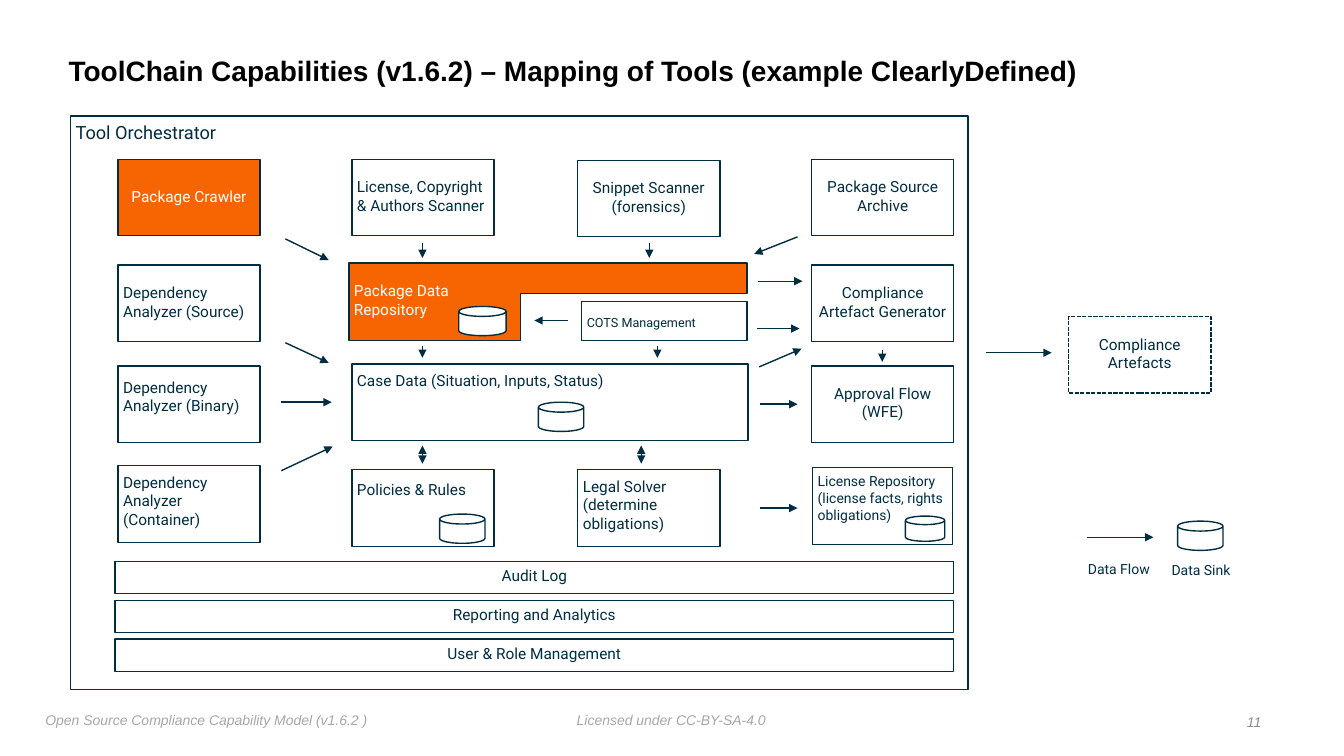
from lxml import etree
from pptx import Presentation, util as u
from pptx.dml.color import RGBColor
from pptx.enum import dml, shapes, text
from pptx.oxml import ns

NAVY = RGBColor(0x00, 0x2D, 0x41)
ORANGE = RGBColor(0xF7, 0x65, 0x03)
WHITE = RGBColor(0xFF, 0xFF, 0xFF)
BLACK = RGBColor(0x00, 0x00, 0x00)
FOOTER_GREY = RGBColor(0xA7, 0xA7, 0xA7)
NUMBER_GREY = RGBColor(0x88, 0x8C, 0x91)
LEFT, CENTER, RIGHT = text.PP_ALIGN.LEFT, text.PP_ALIGN.CENTER, text.PP_ALIGN.RIGHT

COLUMNS = (1.17, 3.49, 5.73, 8.05)
ROWS = (1.58, 2.63, 3.63, 4.64)
BOX_W, BOX_H = 1.41, 0.76
INSET = 0.05

TITLE = "ToolChain Capabilities (v1.6.2) – Mapping of Tools (example ClearlyDefined)"

# Standard boxes: text, column, row, shift from row, text drop, alignment, fill
TOOLS = [
    ("Package Crawler", 0, 0, 0, 0.23, CENTER, ORANGE),
    ("License, Copyright & Authors Scanner", 1, 0, 0, 0.13, LEFT, WHITE),
    ("Snippet Scanner\v(forensics)", 2, 0, 0.01, 0.13, CENTER, WHITE),
    ("Package Source Archive", 3, 0, 0, 0.13, CENTER, WHITE),
    ("Dependency Analyzer (Source)", 0, 1, 0, 0.13, LEFT, WHITE),
    ("Compliance Artefact Generator", 3, 1, 0, 0.13, CENTER, WHITE),
    ("Dependency Analyzer (Binary)", 0, 2, 0, 0.07, LEFT, WHITE),
    ("Approval Flow (WFE)", 3, 2, 0, 0.13, CENTER, WHITE),
    ("Dependency Analyzer (Container)", 0, 3, -0.02, 0.02, LEFT, WHITE),
    ("Policies & Rules", 1, 3, 0.02, 0.05, LEFT, WHITE),
    ("Legal Solver (determine obligations)", 2, 3, 0.02, 0.02, LEFT, WHITE),
]
# Other boxes: text, (left, top, width, height), text drop, size
SPECIAL_BOXES = [
    ("Case Data (Situation, Inputs, Status)", (3.49, 3.61, 3.93, 0.76), 0.02, 11),
    ("COTS Management", (5.77, 2.99, 1.64, 0.39), 0.08, 9),
    ("License Repository (license facts, rights obligations)",
     (8.06, 4.64, 1.39, 0.76), 0, 10),
]
BARS = ["Audit Log", "Reporting and Analytics", "User & Role Management"]
REPOSITORY_OUTLINE = [(3.46, 2.61), (7.41, 2.61), (7.41, 2.91),
                      (5.16, 2.91), (5.16, 3.38), (3.46, 3.38)]
# Data sinks: left, top, width, height
DATA_SINKS = [
    (5.34, 3.99, 0.45, 0.29), (8.98, 5.12, 0.39, 0.25), (4.55, 3.04, 0.47, 0.29),
    (11.68, 5.17, 0.45, 0.29), (4.36, 5.10, 0.45, 0.29),
]
# Data flows: from x, from y, to x, to y
DATA_FLOWS = [
    (2.83, 2.37, 3.26, 2.58), (2.83, 3.40, 3.26, 3.60),
    (2.79, 3.99, 3.29, 3.99), (2.79, 4.67, 3.30, 4.43),
    (4.19, 2.41, 4.19, 2.56), (6.44, 2.41, 6.44, 2.56),
    (4.19, 3.43, 4.19, 3.55), (6.52, 3.43, 6.52, 3.55),
    (8.75, 3.47, 8.75, 3.59), (7.91, 2.35, 7.48, 2.52),
    (7.52, 2.79, 7.96, 2.79), (7.51, 3.26, 7.93, 3.26),
    (7.53, 3.64, 7.95, 3.46), (7.54, 4.01, 7.91, 4.01),
    (7.54, 5.04, 7.91, 5.04), (5.63, 3.18, 5.30, 3.18),
    (9.78, 3.50, 10.43, 3.50), (10.78, 5.33, 11.44, 5.33),
]
TWO_WAY_FLOWS = [(4.19, 4.60, 4.19, 4.42), (6.36, 4.60, 6.36, 4.42)]
# Labels: text, (left, top, width, height), font, colour, italic, alignment
LABELS = [
    ("Data Flow", (10.74, 5.51, 0.80, 0.29), "Roboto", NAVY, False, LEFT),
    ("Data Sink", (11.57, 5.52, 0.80, 0.29), "Roboto", NAVY, False, LEFT),
    ("Open Source Compliance Capability Model (v1.6.2 )",
     (0.40, 7.01, 3.60, 0.27), "Arial", FOOTER_GREY, True, LEFT),
    ("Licensed under CC-BY-SA-4.0",
     (5.67, 7.01, 2.20, 0.25), "Arial", FOOTER_GREY, True, LEFT),
    ("11", (12.27, 7.03, 0.29, 0.25), "Arial", NUMBER_GREY, True, RIGHT),
]


def inches(values):
    return [u.Inches(value) for value in values]


def set_text(shape, words, size, color, font="Roboto", align=LEFT, drop=0,
             right=INSET, anchor=text.MSO_ANCHOR.TOP, **font_format):
    frame = shape.text_frame
    frame_format = {
        "word_wrap": True, "auto_size": text.MSO_AUTO_SIZE.NONE,
        "vertical_anchor": anchor,
        "margin_left": u.Inches(INSET), "margin_right": u.Inches(right),
        "margin_top": u.Inches(INSET + drop), "margin_bottom": u.Inches(0),
    }
    for name, value in frame_format.items():
        setattr(frame, name, value)
    paragraph = frame.paragraphs[0]
    paragraph.text = words
    paragraph.alignment = align
    font_format.update(size=u.Pt(size), name=font)
    for run in paragraph.runs:
        for name, value in font_format.items():
            setattr(run.font, name, value)
        run.font.color.rgb = color


def paint(shape, fill=WHITE):
    shape.shadow.inherit = False
    shape.fill.solid()
    shape.fill.fore_color.rgb = fill
    shape.line.color.rgb = NAVY
    shape.line.width = u.Pt(1)


def add_box(slide, words, place, fill=WHITE, size=11, **text_format):
    box = slide.shapes.add_shape(shapes.MSO_SHAPE.RECTANGLE, *inches(place))
    paint(box, fill)
    set_text(box, words, size, NAVY if fill == WHITE else WHITE, **text_format)
    return box


def add_flow(slide, ends, arrowheads=("tailEnd",)):
    flow = slide.shapes.add_connector(shapes.MSO_CONNECTOR.STRAIGHT, *inches(ends))
    flow.line.color.rgb = NAVY
    flow.line.width = u.Pt(1)
    line = flow.line._get_or_add_ln()
    for arrowhead in arrowheads:
        etree.SubElement(line, ns.qn(f"a:{arrowhead}"), type="triangle")
    etree.SubElement(flow._element.spPr, ns.qn("a:effectLst"))


def add_title(slide):
    title = slide.shapes.title
    title.left, title.top, title.width, title.height = inches((0.63, 0.39, 10.75, 0.65))
    set_text(title, TITLE, 20, BLACK, font="Arial", bold=True,
             anchor=text.MSO_ANCHOR.MIDDLE)
    title.text_frame.margin_bottom = u.Inches(INSET)
    title.text_frame.paragraphs[0].line_spacing = 0.9


def add_package_repository(slide):
    points = [tuple(inches(point)) for point in REPOSITORY_OUTLINE]
    builder = slide.shapes.build_freeform(*points[0])
    builder.add_line_segments(points[1:], close=True)
    repository = builder.convert_to_shape()
    paint(repository, ORANGE)
    set_text(repository, "Package Data Repository", 11, WHITE,
             drop=0.13, right=2.25 + INSET)


def main():
    presentation = Presentation()
    presentation.slide_width, presentation.slide_height = inches((13.33, 7.5))
    slide = presentation.slides.add_slide(presentation.slide_layouts[5])
    add_title(slide)

    add_box(slide, "Tool Orchestrator", (0.7, 1.15, 8.9, 5.69), size=13)
    for words, column, row, shift, drop, align, fill in TOOLS:
        place = (COLUMNS[column], ROWS[row] + shift, BOX_W, BOX_H)
        add_box(slide, words, place, fill, align=align, drop=drop)
    for words, place, drop, size in SPECIAL_BOXES:
        add_box(slide, words, place, size=size, drop=drop)
    for index, words in enumerate(BARS):
        add_box(slide, words, (1.14, 5.57 + 0.385 * index, 8.32, 0.32), align=CENTER)
    artefacts = add_box(slide, "Compliance Artefacts", (10.6, 3.14, BOX_W, BOX_H),
                        align=CENTER, drop=0.13)
    artefacts.line.dash_style = dml.MSO_LINE.SQUARE_DOT
    add_package_repository(slide)

    for place in DATA_SINKS:
        sink = slide.shapes.add_shape(shapes.MSO_SHAPE.CAN, *inches(place))
        sink.adjustments[0] = 0.34
        paint(sink)
    for ends in DATA_FLOWS:
        add_flow(slide, ends)
    for ends in TWO_WAY_FLOWS:
        add_flow(slide, ends, ("headEnd", "tailEnd"))
    for words, place, font, color, italic, align in LABELS:
        label = slide.shapes.add_textbox(*inches(place))
        set_text(label, words, 10, color, font=font, align=align, italic=italic)

    presentation.save("out.pptx")


if __name__ == "__main__":
    main()
